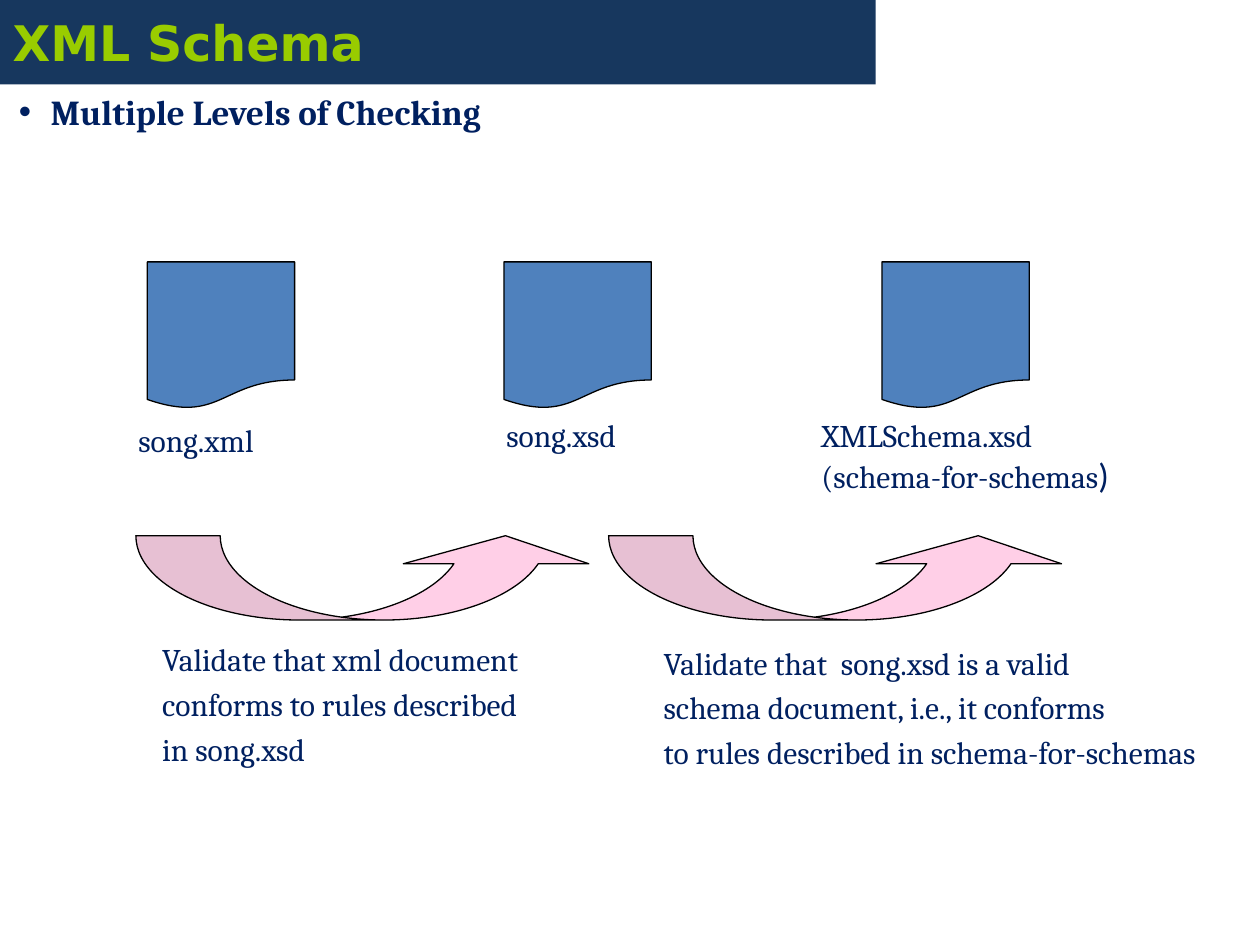
from dataclasses import dataclass

from lxml import etree
from pptx import Presentation
from pptx.dml.color import RGBColor
from pptx.enum.shapes import MSO_SHAPE
from pptx.enum.text import MSO_ANCHOR, MSO_AUTO_SIZE, PP_ALIGN
from pptx.oxml.ns import qn
from pptx.util import Cm, Pt

DOCUMENT = MSO_SHAPE.FLOWCHART_DOCUMENT
CURVED_ARROW = MSO_SHAPE.CURVED_UP_ARROW
MIDDLE = MSO_ANCHOR.MIDDLE
LEFT, JUSTIFY = PP_ALIGN.LEFT, PP_ALIGN.JUSTIFY
NO_FIT, GROW = MSO_AUTO_SIZE.NONE, MSO_AUTO_SIZE.SHAPE_TO_FIT_TEXT


@dataclass
class Theme:
    banner: RGBColor = RGBColor(0x17, 0x37, 0x5E)
    title: RGBColor = RGBColor(0x99, 0xCC, 0x00)
    text: RGBColor = RGBColor(0x00, 0x20, 0x60)
    document: RGBColor = RGBColor(0x4F, 0x81, 0xBD)
    arrow: RGBColor = RGBColor(0xFF, 0x99, 0xCC)
    outline: RGBColor = RGBColor(0, 0, 0)
    title_font: str = "DejaVu Sans"
    text_font: str = "Cambria"
    bracket_font: str = "Calibri"
    title_size: int = 28
    heading_size: int = 20
    text_size: int = 18
    gap: int = 4


theme = Theme()


def add_span(para, text, size=theme.text_size, font=theme.text_font, color=theme.text, bold=False):
    span = para.add_run()
    span.text = text
    span.font.size = Pt(size)
    span.font.name = font
    span.font.bold = bold
    span.font.color.rgb = color


def add_figure(kind, left, top, width, height, color):
    figure = page.shapes.add_shape(kind, Cm(left), Cm(top), Cm(width), Cm(height))
    figure.shadow.inherit = False
    figure.fill.solid()
    figure.fill.fore_color.rgb = color
    figure.line.color.rgb = theme.outline
    figure.line.width = Pt(0.75)
    return figure


deck = Presentation()
deck.slide_width, deck.slide_height = Cm(25.4), Cm(19.05)
page = deck.slides.add_slide(deck.slide_layouts[5])

title = page.shapes.title
title.left, title.top, title.width, title.height = Cm(0), Cm(0), Cm(17.65), Cm(1.7)
title.fill.solid()
title.fill.fore_color.rgb = theme.banner
title.text_frame.auto_size = NO_FIT
title.text_frame.vertical_anchor = MIDDLE
para = title.text_frame.paragraphs[0]
para.alignment = LEFT
add_span(para, "XML Schema", theme.title_size, theme.title_font, theme.title, True)

heading = page.shapes.add_textbox(Cm(0.13), Cm(1.7), Cm(25.07), Cm(16.08))
heading.text_frame.word_wrap = True
para = heading.text_frame.paragraphs[0]
para.space_before = Pt(theme.gap)
properties = para._p.get_or_add_pPr()
properties.set("marL", str(Cm(0.64)))
properties.set("indent", str(-Cm(0.64)))
etree.SubElement(properties, qn("a:buFont")).set("typeface", "Arial")
etree.SubElement(properties, qn("a:buChar")).set("char", "•")
add_span(para, "Multiple Levels of Checking", theme.heading_size, bold=True)

for left in (2.97, 10.16, 17.78):
    add_figure(DOCUMENT, left, 5.28, 2.97, 2.97, theme.document)

for left in (12.27, 2.74):
    arrow = add_figure(CURVED_ARROW, left, 10.8, 9.32, 1.7, theme.arrow)
    for index, value in enumerate((1.1, 2.2, 0.333)):
        arrow.adjustments[index] = value
    arrow_color = arrow.fill._xPr.find(qn("a:solidFill"))[0]
    etree.SubElement(arrow_color, qn("a:alpha")).set("val", "47000")

labels = [
    (2.54, 8.36, 3.1, 1.02, False, LEFT, 0, ["song.xml"]),
    (9.96, 8.26, 3.02, 1.02, False, LEFT, 0, ["song.xsd"]),
    (16.31, 8.26, 6.71, 1.88, False, LEFT, 0, ["XMLSchema.xsd", "(schema-for-schemas"]),
    (3.02, 12.78, 8.46, 2.87, False, JUSTIFY, theme.gap,
     ["Validate that xml document", "conforms to rules described", "in song.xsd"]),
    (13.13, 12.85, 11.23, 3.63, True, JUSTIFY, theme.gap,
     ["Validate that  song.xsd is a valid", "schema document, i.e., it conforms",
      "to rules described in schema-for-schemas"]),
]
for left, top, width, height, wrap, alignment, gap, lines in labels:
    box = page.shapes.add_textbox(Cm(left), Cm(top), Cm(width), Cm(height))
    frame = box.text_frame
    frame.word_wrap = wrap
    frame.auto_size = GROW
    for index, line in enumerate(lines):
        para = frame.add_paragraph() if index else frame.paragraphs[0]
        para.alignment = alignment
        para.space_before = Pt(gap)
        add_span(para, line)
        if line.startswith("("):
            add_span(para, ")", theme.heading_size, theme.bracket_font)

deck.save("out.pptx")
